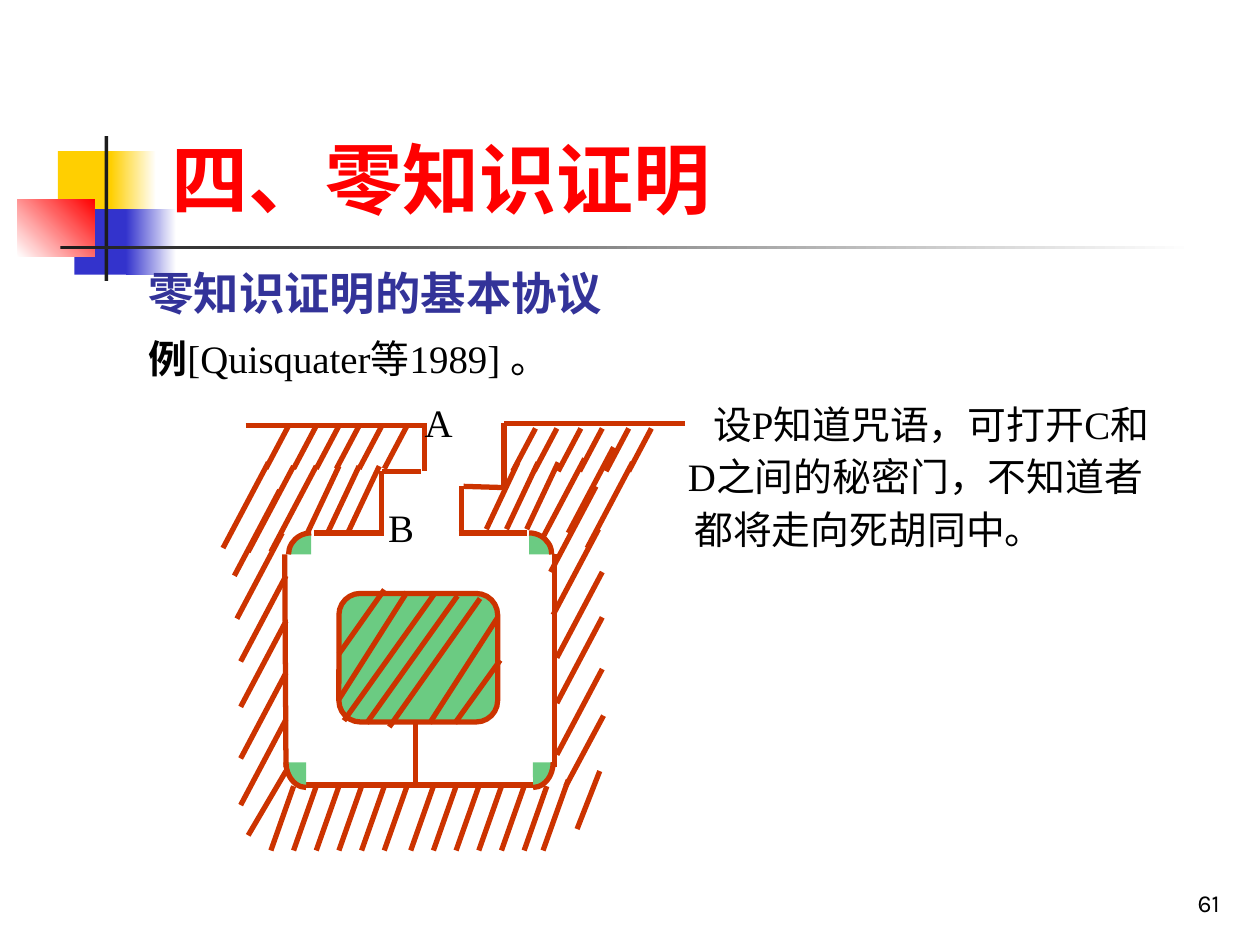
from lxml import etree
from pptx import Presentation
from pptx.dml.color import RGBColor
from pptx.enum import shapes, text
from pptx.oxml import ns
from pptx.util import Inches, Pt

COLORS = {"red": "FF0000", "yellow": "FFCF01", "blue": "3333CC", "navy": "333399",
          "ink": "1C1C1C", "black": "000000", "white": "FFFFFF",
          "rock": "CC3300", "green": "6BCB82"}
SHAPE = shapes.MSO_SHAPE
ALIGN = text.PP_ALIGN
ANCHOR = text.MSO_ANCHOR


def rgb(name):
    """Return the named colour."""
    return RGBColor.from_string(COLORS[name])


def add_text(s, box, *lines, size=22.2, font="Times New Roman", color="black",
             align=ALIGN.LEFT, anchor=ANCHOR.MIDDLE, indents=(), spacing=None):
    """Add a text box whose lines are lists of (text, bold) runs."""
    tf = s.shapes.add_textbox(*map(Inches, box)).text_frame
    tf.word_wrap = True
    tf.vertical_anchor = anchor
    tf.margin_left = tf.margin_right = tf.margin_top = tf.margin_bottom = 0
    for i, line in enumerate(lines):
        p = tf.paragraphs[0] if i == 0 else tf.add_paragraph()
        p.alignment = align
        if spacing:
            p.line_spacing = Pt(spacing)
        if indents:
            p._p.get_or_add_pPr().set("marL", str(Inches(indents[i])))
        for words, bold in line:
            r = p.add_run()
            r.text = words
            r.font.name, r.font.size, r.font.bold = font, Pt(size), bold
            r.font.color.rgb = rgb(color)


def add_block(parent, kind, box, fill, fade=None, angle=0, line=None):
    """Add a preset shape with a plain or fading fill."""
    sp = parent.add_shape(kind, *map(Inches, box))
    sp.shadow.inherit = False
    if fade:
        sp.fill.gradient()
        sp.fill.gradient_angle = angle
        for stop, name in zip(sp.fill.gradient_stops, (fill, fade)):
            stop.color.rgb = rgb(name)
    else:
        sp.fill.solid()
        sp.fill.fore_color.rgb = rgb(fill)
    if line:
        sp.line.color.rgb = rgb(line)
        sp.line.width = Pt(3)
    else:
        sp.line.fill.background()
    return sp


def add_line(parent, x1, y1, x2, y2):
    """Add one rock-coloured stroke."""
    c = parent.add_connector(shapes.MSO_CONNECTOR.STRAIGHT,
                             *map(Inches, (x1, y1, x2, y2)))
    c.line.color.rgb = rgb("rock")
    c.line.width = Pt(3)
    etree.SubElement(c._element.spPr, ns.qn("a:effectLst"))


def add_emblem(s, x, y):
    """Draw the coloured squares, cross bar and title rule."""
    for dx, dy, w, h, *fill in (
            (0.32, 0.12, 0.48, 0.52, "yellow"),
            (0.74, 0.12, 0.36, 0.52, "yellow", "white"),
            (0.45, 0.58, 0.46, 0.52, "blue"),
            (0.86, 0.58, 0.4, 0.52, "blue", "white"),
            (0, 0.5, 0.61, 0.46, "white", "red", 45),
            (0.69, 0, 0.03, 1.15, "ink"),
            (0.34, 0.87, 9, 0.03, "ink", "white")):
        add_block(s.shapes, SHAPE.RECTANGLE, (x + dx, y + dy, w, h), *fill)


def hatch_strokes():
    """Return the hatching around the cave as (x, y, dx, dy)."""
    wall = [(0.43, 0.37), (0.52, 0.59), (0.54, 0.93), (0.81, 0.4),
            (0.57, 1.27), (0.57, 1.63), (0.57, 2.04)]
    strokes = [(x + right * 2.51, y - right * 0.03, -0.36, 0.68)
               for right in (0, 1) for x, y in wall]
    strokes += [(0.63, 0.4, -0.36, 0.68), (0.57, 2.41, -0.36, 0.68),
                (3.17, 0.25, -0.36, 0.68), (3.09, 2.38, -0.3, 0.56),
                (0.57, 2.82, -0.3, 0.51), (3.06, 2.82, -0.18, 0.46),
                (2.81, 2.89, -0.2, 0.56)]
    strokes += [(x + 0.18 * i, 2.94, -0.18, 0.51) for x in (0.63, 1.74) for i in range(6)]
    strokes += [(x + 0.16 * i, y, -0.25, 0.53)
                for x, y in ((0.99, 0.4), (2.41, 0.37)) for i in range(3)]
    strokes += [(x, 0.08, -0.18, 0.34) for x in (0.59, 0.81, 0.99, 1.15, 1.33, 1.53)]
    strokes += [(x, 0.1, -0.18, 0.34) for x in (2.55, 2.72, 2.91, 3.08, 3.29, 3.47)]
    return strokes


def add_cave(s, x, y):
    """Draw the cave with its entrance, ring passage and secret door."""
    g = s.shapes.add_group_shape().shapes
    for hx, hy, dx, dy in hatch_strokes():
        add_line(g, x + hx, y + hy, x + hx + dx, y + hy + dy)
    add_block(g, SHAPE.ROUNDED_RECTANGLE, (x + 0.99, y + 1.41, 1.26, 1.02),
              "green", line="rock")
    left_mouth = [(0.25, 0.08, 1.69, 0.08), (1.67, 0.1, 1.67, 0.44),
                  (1.64, 0.44, 1.33, 0.44), (1.33, 0.44, 1.33, 0.95),
                  (0.79, 0.93, 1.33, 0.93)]
    right_mouth = [(2.3, 0.06, 3.74, 0.06), (2.3, 0.57, 2.3, 0.06),
                   (1.98, 0.56, 2.3, 0.57), (1.96, 0.91, 1.96, 0.56),
                   (1.94, 0.93, 2.48, 0.93)]
    passage = [(2.7, 1.1, 2.7, 2.79), (0.56, 1.1, 0.57, 2.79), (0.72, 2.93, 2.55, 2.93)]
    door = [(1.6, 2.43, 1.6, 2.94)]
    pillar_hatch = [(0.99, 2.25, 1.53, 1.4), (1.71, 2.44, 2.25, 1.6),
                    (1.21, 2.44, 1.93, 1.43), (1.39, 2.47, 2.11, 1.45),
                    (1.03, 2.42, 1.75, 1.41), (1.91, 2.44, 2.27, 1.94),
                    (0.99, 1.89, 1.35, 1.38)]
    for x1, y1, x2, y2 in left_mouth + right_mouth + passage + door + pillar_hatch:
        add_line(g, x + x1, y + y1, x + x2, y + y2)
    for cx, cy, rx, ry, start in ((2.5, 1.1, 0.18, 0.17, 270), (2.53, 2.75, 0.16, 0.2, 0),
                                  (0.73, 2.75, 0.16, 0.2, 90), (0.77, 1.1, 0.18, 0.17, 180)):
        arc = add_block(g, SHAPE.ARC, (x + cx - rx, y + cy - ry, 2 * rx, 2 * ry),
                        "green", line="rock")
        arc.adjustments[0] = start * 0.6
        arc.adjustments[1] = (start + 90) % 360 * 0.6
    for label, lx, ly in (("A", 1.67, 0.05), ("B", 1.38, 0.88)):
        add_text(s, (x + lx, y + ly - 0.2, 0.3, 0.4), [(label, False)])


def add_story(s, x, y, w):
    """Place the example and its explanation beside the cave."""
    add_text(s, (x, y, w, 0.5), [("零知识证明的基本协议", True)], size=25.9, color="navy")
    add_text(s, (x, y + 0.52, w, 0.5), [("例", True), ("[Quisquater等1989] 。", False)])
    add_text(s, (x + 4.28, y + 1.06, w - 4.28, 1.25),
             [("设P知道咒语，可打开C和", False)],
             [("D之间的秘密门，不知道者", False)],
             [("都将走向死胡同中。", False)],
             indents=(0.2, 0, 0.05), spacing=30)


def main():
    """Build and save the slide."""
    prs = Presentation()
    prs.slide_width, prs.slide_height = Inches(10), Inches(7.5)
    s = prs.slides.add_slide(prs.slide_layouts[6])
    add_emblem(s, 0.14, 1.08)
    add_text(s, (1.36, 0.23, 8.3, 1.55), [("四、零知识证明", True)], size=44,
             font="Karla", color="red", anchor=ANCHOR.BOTTOM)
    add_story(s, 1.18, 2.07, 8.7)
    add_cave(s, 1.7, 3.3)
    add_text(s, (7.8, 6.88, 1.88, 0.4), [("61", False)], size=14, font="Karla",
             align=ALIGN.RIGHT, anchor=ANCHOR.BOTTOM)
    prs.save("out.pptx")


if __name__ == "__main__":
    main()
